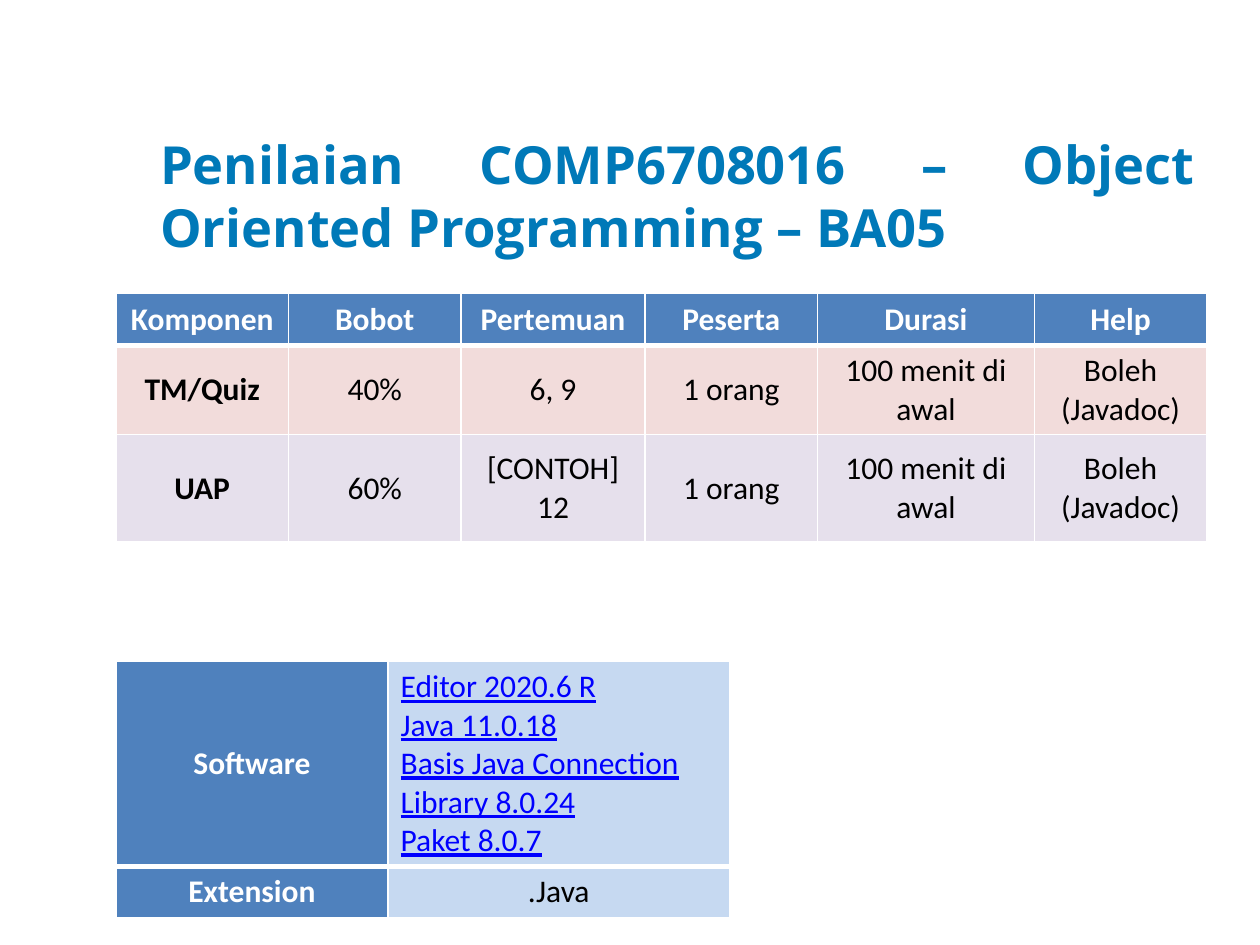
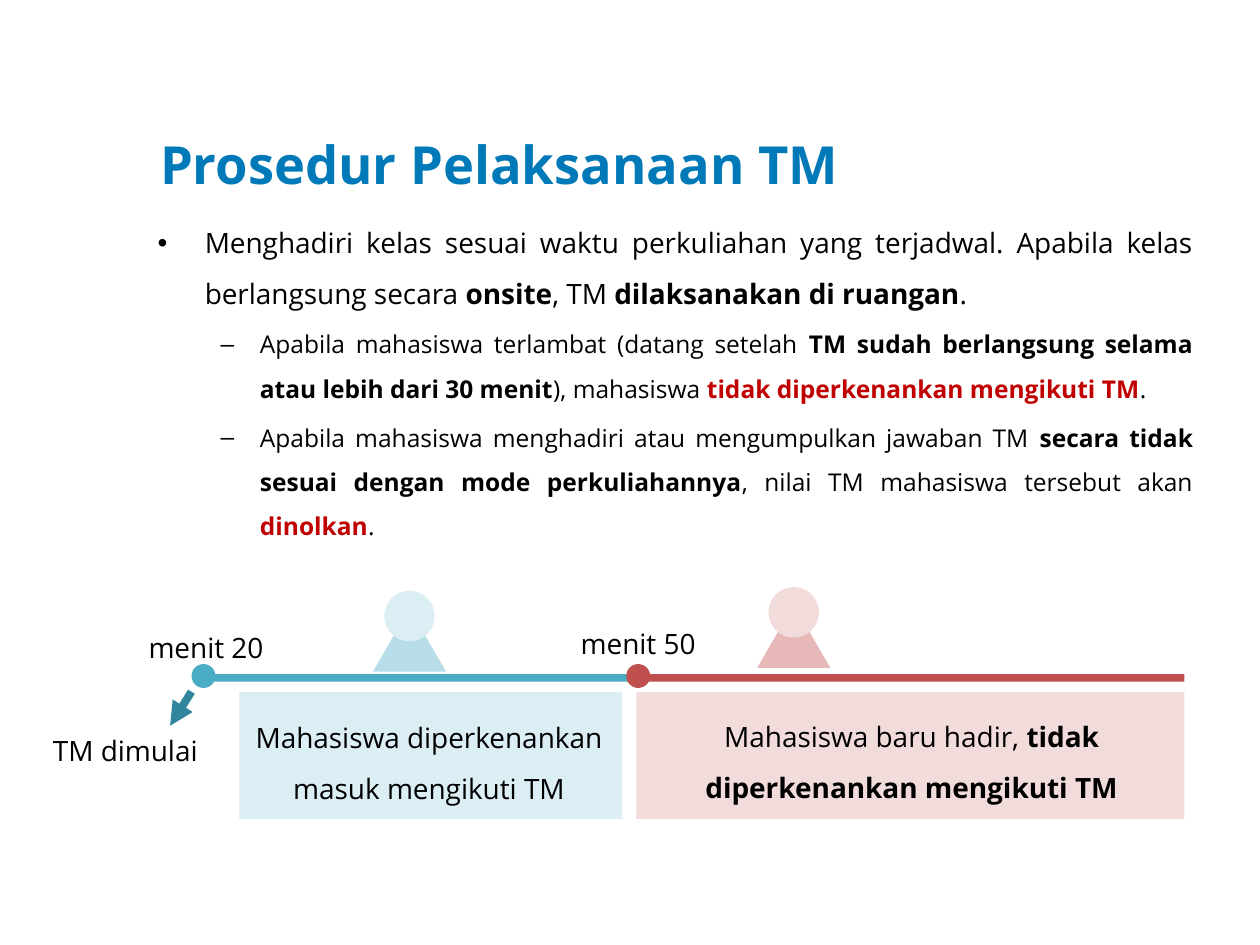
from dataclasses import dataclass

from pptx import Presentation
from pptx.dml.color import RGBColor
from pptx.enum.shapes import MSO_CONNECTOR as CONN, MSO_SHAPE as SHAPE
from pptx.enum.text import MSO_ANCHOR as ANCHOR, MSO_AUTO_SIZE as AUTO, PP_ALIGN as ALIGN
from pptx.oxml.ns import qn
from pptx.util import Inches, Pt
from lxml.etree import SubElement


@dataclass(frozen=True)
class Theme:
    # Fonts and sizes
    text_font: str = "Open Sans"
    table_font: str = "Calibri"
    title_size: int = 30
    table_size: int = 18
    body_size: int = 16
    sub_size: int = 14
    # Colours
    title: str = "0079B8"
    black: str = "000000"
    white: str = "FFFFFF"
    alert: str = "C00000"
    link: str = "0000FF"
    header: str = "4F81BD"
    rose: str = "F2DCDB"
    lilac: str = "E6E0EC"
    sky: str = "C6D9F1"
    aqua: str = "4BACC6"
    aqua_mid: str = "B7DEE8"
    aqua_pale: str = "DBEEF4"
    aqua_dark: str = "31859C"
    red: str = "C0504D"
    red_mid: str = "E6B9B8"


T = Theme()


def rgb(colour):
    return RGBColor.from_string(colour)


def place(sp, x, y, w, h):
    sp.left, sp.top, sp.width, sp.height = map(Inches, (x, y, w, h))


def add_run(p, text, size, colour=T.black, bold=False, font=T.text_font, underline=False):
    r = p.add_run()
    r.text = text
    r.font.name, r.font.size = font, Pt(size)
    r.font.bold, r.font.underline = bold, underline
    r.font.color.rgb = rgb(colour)


def add_title(slide, text, height):
    sp = slide.shapes.title
    place(sp, 1.17, 1, 8.42, height)
    tf = sp.text_frame
    tf.auto_size, tf.vertical_anchor = AUTO.NONE, ANCHOR.TOP
    p = tf.paragraphs[0]
    p.alignment = ALIGN.JUSTIFY
    add_run(p, text, T.title_size, T.title, bold=True)


def add_solid(shapes, kind, colour, x, y, w, h):
    sp = shapes.add_shape(kind, *map(Inches, (x, y, w, h)))
    sp.shadow.inherit = False
    sp.fill.solid()
    sp.fill.fore_color.rgb = rgb(colour)
    sp.line.fill.background()


def add_label(slide, runs, x, y, w, h):
    """Centred text; each run is (text, bold)."""
    tf = slide.shapes.add_textbox(*map(Inches, (x, y, w, h))).text_frame
    tf.word_wrap = True
    p = tf.paragraphs[0]
    p.alignment, p.line_spacing = ALIGN.CENTER, 1.5
    for text, bold in runs:
        add_run(p, text, T.body_size, bold=bold)


# Tables

def set_borders(cell, top, bottom):
    tc_pr = cell._tc.get_or_add_tcPr()
    for side, width in (("L", 1), ("R", 1), ("T", top), ("B", bottom)):
        ln = SubElement(tc_pr, qn("a:ln" + side), w=str(Pt(width)))
        fill = SubElement(ln, qn("a:solidFill"))
        SubElement(fill, qn("a:srgbClr"), val=T.white)


def fill_cell(cell, text, fill, align=ALIGN.CENTER, **font):
    cell.fill.solid()
    cell.fill.fore_color.rgb = rgb(fill)
    cell.vertical_anchor = ANCHOR.MIDDLE
    tf = cell.text_frame
    for i, line in enumerate(text.split("\n")):
        p = tf.add_paragraph() if i else tf.paragraphs[0]
        p.alignment = align
        add_run(p, line, T.table_size, font=T.table_font, **font)


def add_grid(slide, x, y, widths, heights):
    """Table with white rules, the thick one below its first row."""
    size = map(Inches, (x, y, sum(widths), sum(heights)))
    table = slide.shapes.add_table(len(heights), len(widths), *size).table
    for col, width in zip(table.columns, widths):
        col.width = Inches(width)
    for i, (row, height) in enumerate(zip(table.rows, heights)):
        row.height = Inches(height)
        for cell in row.cells:
            set_borders(cell, 3 if i == 1 else 1, 3 if i == 0 else 1)
    return table


def add_grading_table(slide, x, y):
    rows = [
        ("Komponen", "Bobot", "Pertemuan", "Peserta", "Durasi", "Help"),
        ("TM/Quiz", "40%", "6, 9", "1 orang", "100 menit di awal", "Boleh\n(Javadoc)"),
        ("UAP", "60%", "[CONTOH] 12", "1 orang", "100 menit di awal", "Boleh\n(Javadoc)"),
    ]
    table = add_grid(slide, x, y, [1.37, 1.37, 1.46, 1.37, 1.72, 1.37], [0.41, 0.7, 0.85])
    for i, (row, fill) in enumerate(zip(rows, (T.header, T.rose, T.lilac))):
        for j, text in enumerate(row):
            fill_cell(table.cell(i, j), text, fill, bold=i == 0 or j == 0,
                      colour=T.black if i else T.white)


def add_software_table(slide, x, y):
    software = ("Editor 2020.6 R\nJava 11.0.18\n"
                "Basis Java Connection Library 8.0.24\nPaket 8.0.7")
    table = add_grid(slide, x, y, [2.16, 2.71], [1.6, 0.4])
    for i, text in enumerate(("Software", "Extension")):
        fill_cell(table.cell(i, 0), text, T.header, colour=T.white, bold=True)
    fill_cell(table.cell(0, 1), software, T.sky, ALIGN.LEFT, colour=T.link, underline=True)
    fill_cell(table.cell(1, 1), ".Java", T.sky)


# Procedure

def add_rules(slide, x, y, w, h):
    plain, bold = {}, {"bold": True}
    alert = {"bold": True, "colour": T.alert}
    rules = [
        (0, [("Menghadiri kelas sesuai waktu perkuliahan yang terjadwal. "
              "Apabila kelas berlangsung secara ", plain),
             ("onsite", bold), (", TM ", plain),
             ("dilaksanakan di ruangan", bold), (".", plain)]),
        (1, [("Apabila mahasiswa terlambat (datang setelah ", plain),
             ("TM sudah berlangsung selama atau lebih dari 30 menit", bold),
             ("), mahasiswa ", plain),
             ("tidak diperkenankan mengikuti TM", alert), (".", plain)]),
        (1, [("Apabila mahasiswa menghadiri atau mengumpulkan jawaban TM ", plain),
             ("secara tidak sesuai dengan mode perkuliahannya", bold),
             (", nilai TM mahasiswa tersebut akan ", plain),
             ("dinolkan", alert), (".", plain)]),
    ]
    sp = slide.placeholders[1]
    place(sp, x, y, w, h)
    tf = sp.text_frame
    tf.auto_size = AUTO.NONE
    for i, (level, runs) in enumerate(rules):
        p = tf.add_paragraph() if i else tf.paragraphs[0]
        p.level, p.alignment, p.line_spacing = level, ALIGN.JUSTIFY, 1.5
        for text, style in runs:
            add_run(p, text, T.sub_size if level else T.body_size, **style)


def add_person(slide, x, y, body, head):
    group = slide.shapes.add_group_shape()
    add_solid(group.shapes, SHAPE.ISOSCELES_TRIANGLE, body, x, y + 0.14, 0.58, 0.5)
    add_solid(group.shapes, SHAPE.OVAL, head, x + 0.09, y, 0.4, 0.4)


def add_arrow(slide, x1, y1, x2, y2):
    line = slide.shapes.add_connector(CONN.STRAIGHT, *map(Inches, (x1, y1, x2, y2)))
    line.line.color.rgb = rgb(T.aqua_dark)
    line.line.width = Pt(4.5)
    SubElement(line.line._get_or_add_ln(), qn("a:tailEnd"), type="triangle")
    SubElement(line._element.spPr, qn("a:effectLst"))


def add_timeline(slide, x, y):
    """Two phases from the first dot, whose corner is at x, y."""
    shapes = slide.shapes
    # Bars, then the dots over them
    for left, width, colour in ((0.12, 3.41, T.aqua), (3.53, 4.35, T.red)):
        add_solid(shapes, SHAPE.RECTANGLE, colour, x + left, y + 0.08, width, 0.06)
    for left, colour in ((0, T.aqua), (3.45, T.red)):
        add_solid(shapes, SHAPE.OVAL, colour, x + left, y, 0.19, 0.19)
    # Minute marks and start
    add_label(slide, [("menit 20", False)], x - 0.45, y - 0.45, 1.13, 0.29)
    add_label(slide, [("menit 50", False)], x + 2.98, y - 0.48, 1.13, 0.29)
    add_label(slide, [("TM dimulai", False)], x - 1.25, y + 0.37, 1.45, 0.47)
    add_arrow(slide, x, y + 0.22, x - 0.17, y + 0.49)
    # Outcome of each phase
    add_solid(shapes, SHAPE.RECTANGLE, T.aqua_pale, x + 0.38, y + 0.22, 3.04, 1.01)
    add_label(slide, [("Mahasiswa diperkenankan masuk mengikuti TM", False)],
              x + 0.38, y + 0.27, 3.01, 0.93)
    add_solid(shapes, SHAPE.RECTANGLE, T.rose, x + 3.53, y + 0.22, 4.35, 1.01)
    add_label(slide, [("Mahasiswa baru hadir, ", False),
                      ("tidak diperkenankan mengikuti TM", True)],
              x + 3.89, y + 0.26, 3.65, 0.93)
    # Students
    add_person(slide, x + 1.44, y - 0.58, T.aqua_mid, T.aqua_pale)
    add_person(slide, x + 4.49, y - 0.61, T.red_mid, T.rose)


def build_grading(prs):
    slide = prs.slides.add_slide(prs.slide_layouts[5])
    add_title(slide, "Penilaian COMP6708016 – Object Oriented Programming – BA05", 1.11)
    add_grading_table(slide, 0.92, 2.33)
    add_software_table(slide, 0.92, 5.25)


def build_procedure(prs):
    slide = prs.slides.add_slide(prs.slide_layouts[1])
    add_title(slide, "Prosedur Pelaksanaan TM", 0.61)
    add_rules(slide, 1.15, 1.61, 8.42, 2.66)
    add_timeline(slide, 1.52, 5.27)


def main():
    prs = Presentation()
    prs.slide_width, prs.slide_height = Inches(10), Inches(7.5)
    build_grading(prs)
    build_procedure(prs)
    prs.save("out.pptx")


if __name__ == "__main__":
    main()
